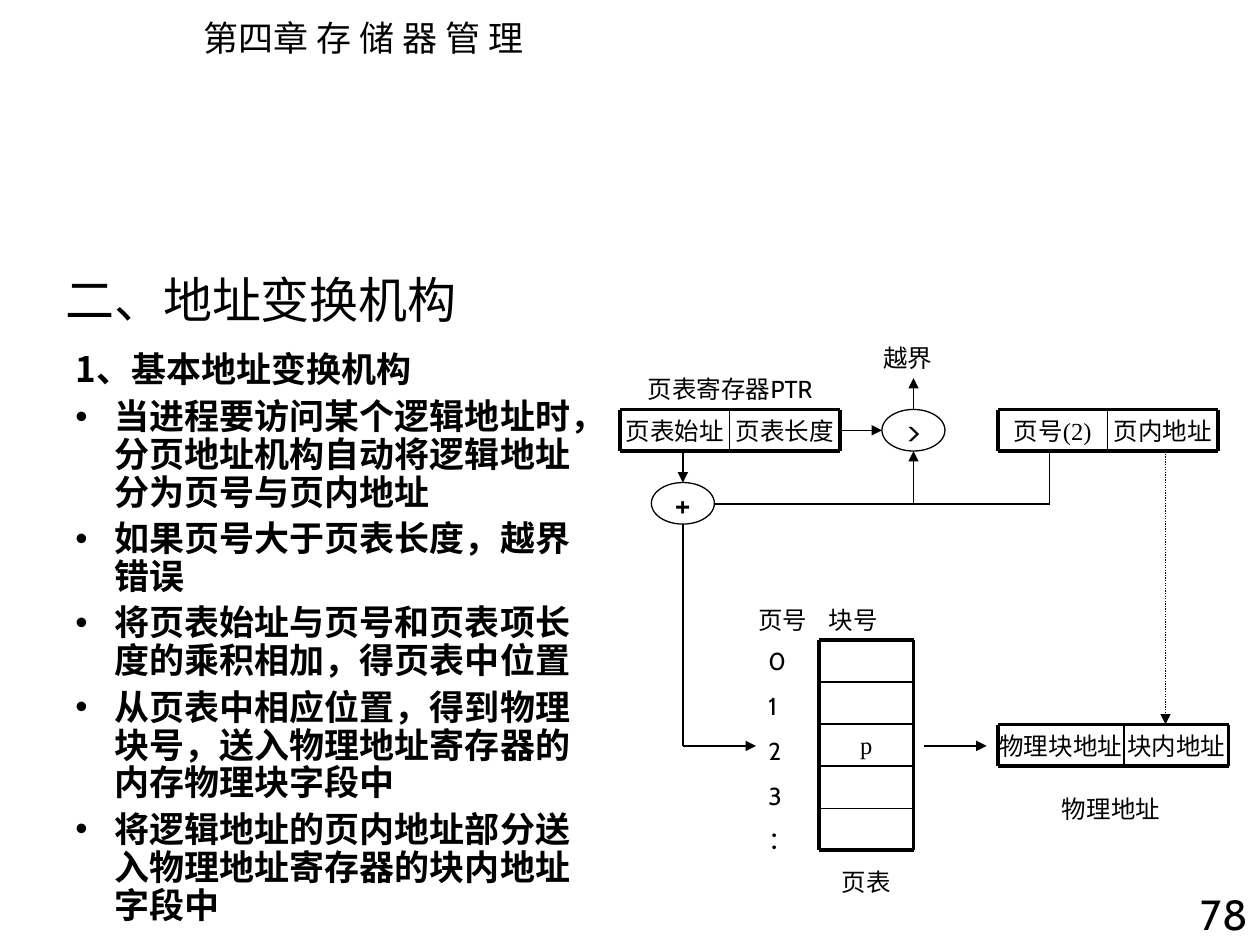
from dataclasses import dataclass
from itertools import accumulate

from pptx import Presentation
from pptx.dml.color import RGBColor
from pptx.enum.dml import MSO_LINE
from pptx.enum.shapes import MSO_CONNECTOR, MSO_SHAPE
from pptx.enum.text import MSO_ANCHOR, PP_ALIGN
from pptx.oxml.ns import qn
from pptx.util import Inches, Pt
from lxml.etree import SubElement


@dataclass(frozen=True)
class Theme:
    ink: RGBColor = RGBColor(0, 0, 0)
    cjk: str = "Noto Sans CJK SC"
    label_font: str = "Cabin"
    cell_font: str = "Times New Roman"
    title: int = 28
    number: int = 24
    body: int = 20
    label: int = 14
    thick: float = 2.25
    rule: float = 1
    thin: float = 0.75


THEME = Theme()
ROW = 0.33
OVAL_W = 0.5


def add_run(p, text, size, font, bold=False):
    r = p.add_run()
    r.text = text
    r.font.size, r.font.name, r.font.bold = Pt(size), font, bold
    r.font.color.rgb = THEME.ink
    SubElement(r._r.get_or_add_rPr(), qn("a:ea")).set("typeface", THEME.cjk)


def add_text(slide, box, lines, size=THEME.label, font=THEME.label_font,
             align=PP_ALIGN.LEFT, side=0.1, gap=0, bold=False, wrap=True):
    """Text box with one paragraph for each line, gap points apart."""
    tf = slide.shapes.add_textbox(*map(Inches, box)).text_frame
    tf.word_wrap = wrap
    tf.margin_left = tf.margin_right = Inches(side)
    for i, line in enumerate(lines):
        p = tf.add_paragraph() if i else tf.paragraphs[0]
        p.alignment = align
        p.space_before = Pt(gap if i else 0)
        add_run(p, line, size, font, bold)
    return tf


def add_line(slide, start, end, width=THEME.thin, arrow=False):
    cx = slide.shapes.add_connector(MSO_CONNECTOR.STRAIGHT, *map(Inches, (*start, *end)))
    cx.line.color.rgb = THEME.ink
    cx.line.width = Pt(width)
    spPr = cx._element.spPr
    if arrow:
        SubElement(spPr.find(qn("a:ln")), qn("a:tailEnd")).set("type", "triangle")
    SubElement(spPr, qn("a:effectLst"))
    return cx


def add_grid(slide, x, y, widths, heights):
    """Thick frame with thin inner rules."""
    xs = list(accumulate(widths, initial=x))
    ys = list(accumulate(heights, initial=y))
    for gy in ys:
        add_line(slide, (x, gy), (xs[-1], gy), THEME.thick if gy in (y, ys[-1]) else THEME.rule)
    for gx in xs:
        add_line(slide, (gx, y), (gx, ys[-1]), THEME.thick if gx in (x, xs[-1]) else THEME.rule)


def add_register(slide, x, y, widths, fields):
    for left, width, field in zip(accumulate(widths, initial=x), widths, fields):
        add_text(slide, (left, y, width, ROW), [field], font=THEME.cell_font,
                 align=PP_ALIGN.CENTER, side=0)
    add_grid(slide, x, y, widths, [ROW])


def add_operator(slide, x, y, sign):
    sp = slide.shapes.add_shape(MSO_SHAPE.OVAL, *map(Inches, (x, y, OVAL_W, ROW)))
    sp.shadow.inherit = False
    sp.fill.background()
    sp.line.color.rgb = THEME.ink
    sp.line.width = Pt(THEME.thin)
    tf = sp.text_frame
    tf.word_wrap = False
    tf.margin_left = tf.margin_right = tf.margin_top = tf.margin_bottom = 0
    tf.vertical_anchor = MSO_ANCHOR.MIDDLE
    p = tf.paragraphs[0]
    p.alignment = PP_ALIGN.CENTER
    add_run(p, sign, THEME.body, THEME.label_font)


def add_headings(slide):
    add_text(slide, (1.52, 0.08, 2.8, 0.44), ["第四章 存 储 器 管 理"],
             THEME.body, THEME.cjk, wrap=False)
    title = add_text(slide, (0.42, 2, 5.67, 0.75), ["二、地址变换机构"], THEME.title, THEME.cjk)
    title.vertical_anchor = MSO_ANCHOR.MIDDLE
    add_text(slide, (9.33, 7, 0.67, 0.56), ["78"], THEME.number, align=PP_ALIGN.RIGHT)


def add_body(slide, box, heading, points):
    tf = add_text(slide, box, [heading, *points], THEME.body, THEME.cjk, gap=5, bold=True)
    indent = Inches(0.31)
    for i, p in enumerate(tf.paragraphs):
        p.line_spacing = 0.9
        pPr = p._p.get_or_add_pPr()
        pPr.set("marL", str(indent))
        pPr.set("indent", str(-indent))
        if i:
            SubElement(pPr, qn("a:buFont")).set("typeface", "Arial")
            SubElement(pPr, qn("a:buChar")).set("char", "•")


def add_page_table(slide, x, y, rows):
    """Page table whose frame starts at x, y, with page numbers on its left."""
    width, row = 0.75, 1.67 / rows
    tf = add_text(slide, (x - 0.58, y - ROW, 1.33, 0.34), ["页号\t块号"])
    tabs = SubElement(tf.paragraphs[0]._p.get_or_add_pPr(), qn("a:tabLst"))
    tab = SubElement(tabs, qn("a:tab"))
    tab.set("pos", str(Inches(0.56)))
    tab.set("algn", "l")
    add_text(slide, (x - 0.5, y, 0.5, 1.76), ["0", "1", "2", "3", "："], gap=8.8)
    add_text(slide, (x, y + 2 * row, width, row), ["p"], font=THEME.cell_font,
             align=PP_ALIGN.CENTER)
    add_grid(slide, x, y, [width], [row] * rows)
    add_text(slide, (x, y + 1.75, width, 0.34), ["页表"], align=PP_ALIGN.CENTER)


def add_translation_diagram(slide, x, y):
    """Address translation; x, y is the top left of the page table register."""
    right = x + 3
    base, block_y = y + ROW, y + 2.5
    bus_y, mid_block = y + 0.75, y + 2.67
    compare_left, add_left, add_top = x + 2.08, x + 0.25, y + 0.58
    compare_x, add_x = compare_left + OVAL_W / 2, add_left + OVAL_W / 2
    page_x, offset_x = x + 3.41, x + 4.33

    add_text(slide, (x, y - 0.33, 1.75, 0.34), ["页表寄存器PTR"], align=PP_ALIGN.CENTER)
    add_register(slide, x, y, [0.87, 0.88], ["页表始址", "页表长度"])
    add_register(slide, right, y, [0.87, 0.88], ["页号(2)", "页内地址"])
    add_register(slide, right, block_y, [1, 0.83], ["物理块地址", "块内地址"])
    add_text(slide, (right + 0.41, block_y + 0.5, 1.08, 0.34), ["物理地址"])
    add_page_table(slide, x + 1.58, y + 1.83, 5)
    add_operator(slide, compare_left, y, ">")
    add_operator(slide, add_left, add_top, "+")
    add_text(slide, (compare_x - 0.42, y - 0.58, 0.75, 0.34), ["越界"], align=PP_ALIGN.CENTER)

    arrows = [
        ((compare_x, y), (compare_x, y - 0.25)),
        ((compare_x, bus_y), (compare_x, base)),
        ((x + 1.75, y + ROW / 2), (compare_left, y + ROW / 2)),
        ((add_x, base), (add_x, add_top)),
        ((add_x, mid_block), (x + 1.08, mid_block)),
        ((x + 2.41, mid_block), (right - 0.09, mid_block)),
    ]
    for start, end in arrows:
        add_line(slide, start, end, arrow=True)
    add_line(slide, (page_x, base), (page_x, bus_y))
    add_line(slide, (page_x, bus_y), (compare_x, bus_y))
    add_line(slide, (compare_x, bus_y), (add_left + OVAL_W, bus_y))
    add_line(slide, (add_x, add_top + ROW), (add_x, mid_block))
    offset = add_line(slide, (offset_x, base), (offset_x, block_y), arrow=True)
    offset.line.dash_style = MSO_LINE.ROUND_DOT


def main():
    prs = Presentation()
    prs.slide_width, prs.slide_height = Inches(10), Inches(7.5)
    slide = prs.slides.add_slide(prs.slide_layouts[6])
    add_headings(slide)
    add_body(slide, (0.5, 2.75, 4.25, 4.75), "1、基本地址变换机构", [
        "当进程要访问某个逻辑地址时，分页地址机构自动将逻辑地址分为页号与页内地址",
        "如果页号大于页表长度，越界错误",
        "将页表始址与页号和页表项长度的乘积相加，得页表中位置",
        "从页表中相应位置，得到物理块号，送入物理地址寄存器的内存物理块字段中",
        "将逻辑地址的页内地址部分送入物理地址寄存器的块内地址字段中",
    ])
    add_translation_diagram(slide, 4.92, 3.25)
    prs.save("out.pptx")


if __name__ == "__main__":
    main()
